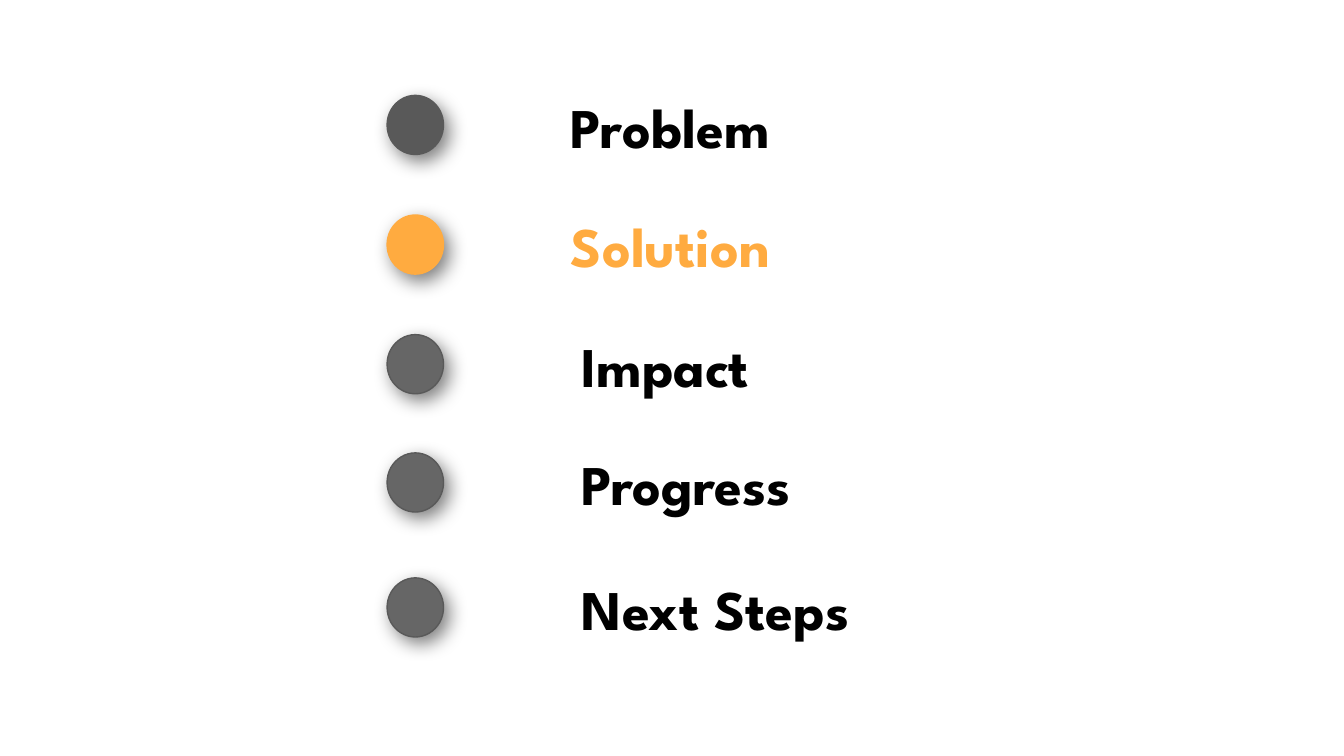
from pptx import Presentation
from pptx.dml.color import RGBColor
from pptx.enum import shapes, text
from pptx.oxml import parse_xml
from pptx.oxml.ns import nsdecls
from pptx.util import Inches, Pt

COLORS = {"black": "000000", "dark": "595959", "gray": "666666", "accent": "FFAB40"}
FONT = "League Spartan"

# label, dot top, label left, label width, dot fill, dot line, label colour
AGENDA = [
    ("Problem", 0.71, 4.15, 3.01, "dark", "dark", "black"),
    ("Solution", 1.6, 4.15, 3.71, "accent", "accent", "accent"),
    ("Impact", 2.49, 4.23, 2.44, "gray", "dark", "black"),
    ("Progress", 3.37, 4.23, 2.44, "gray", "dark", "black"),
    ("Next Steps", 4.3, 4.23, 2.44, "gray", "dark", "black"),
]
DOT_LEFT, DOT_WIDTH, DOT_HEIGHT = 2.88, 0.42, 0.44
LABEL_HEIGHT = 0.69
LABEL_RISE = 0.12  # how far a label starts above its dot


def rgb(name):
    return RGBColor.from_string(COLORS[name])


def add_soft_shadow(shape):
    shape.shadow.inherit = False
    effects = shape._element.spPr.find("{*}effectLst")
    effects.append(parse_xml(
        f'<a:outerShdw {nsdecls("a")} blurRad="{Pt(10.1)}" dist="{Pt(4.5)}" '
        f'dir="{50 * 60000}" algn="bl" rotWithShape="0">'
        f'<a:srgbClr val="{COLORS["black"]}"><a:alpha val="50000"/></a:srgbClr>'
        '</a:outerShdw>'))


def add_dot(group, top, fill, line):
    dot = group.shapes.add_shape(
        shapes.MSO_SHAPE.OVAL, Inches(DOT_LEFT), Inches(top),
        Inches(DOT_WIDTH), Inches(DOT_HEIGHT))
    dot.fill.solid()
    dot.fill.fore_color.rgb = rgb(fill)
    dot.line.color.rgb = rgb(line)
    dot.line.width = Pt(0.75)
    add_soft_shadow(dot)


def add_label(group, words, left, top, width, color):
    label = group.shapes.add_textbox(
        Inches(left), Inches(top), Inches(width), Inches(LABEL_HEIGHT))
    frame = label.text_frame
    frame.word_wrap = True
    frame.vertical_anchor = text.MSO_ANCHOR.MIDDLE
    frame.margin_left = frame.margin_right = Inches(0.1)
    frame.margin_top = frame.margin_bottom = Inches(0.1)
    frame.text = words
    font = frame.paragraphs[0].runs[0].font
    font.name, font.size, font.bold = FONT, Pt(30), True
    font.color.rgb = rgb(color)


prs = Presentation()
prs.slide_width = Inches(10)
prs.slide_height = prs.slide_width * 9 // 16
slide = prs.slides.add_slide(prs.slide_layouts[6])

for words, dot_top, left, width, fill, line, color in AGENDA:
    row = slide.shapes.add_group_shape()
    add_dot(row, dot_top, fill, line)
    add_label(row, words, left, dot_top - LABEL_RISE, width, color)

prs.save("out.pptx")
